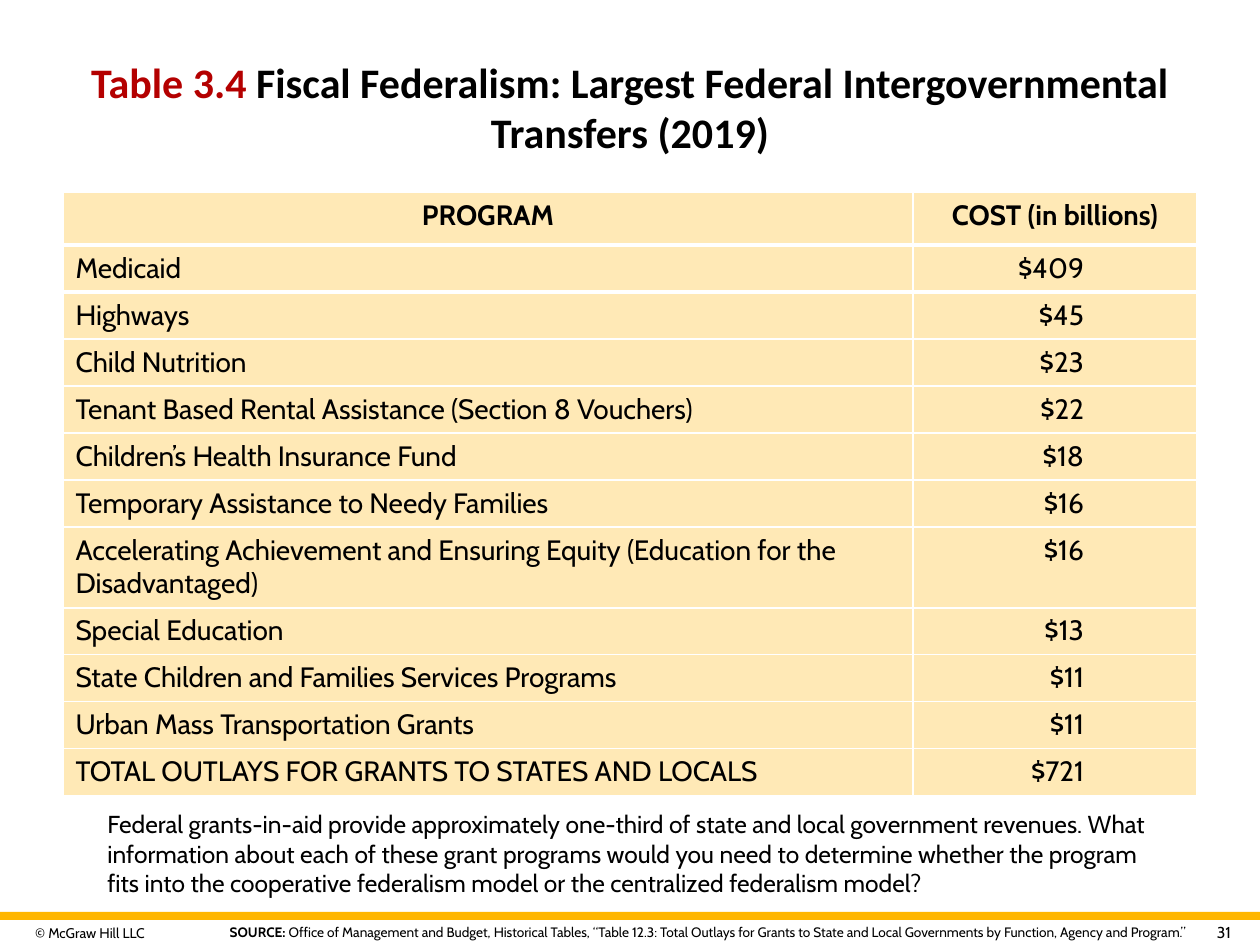
"""Build the slide on the largest federal intergovernmental transfers."""
import pptx
import pptx.util
import pptx.dml.color
import pptx.enum.text
import pptx.enum.shapes
import pptx.oxml
import pptx.oxml.ns

TITLE = [("Table 3.4", "B40000", True),
         (" Fiscal Federalism: Largest Federal Intergovernmental Transfers (2019)", "000000", True)]
HEAD = ("PROGRAM", "COST (in billions)")
COSTS = [
    ("Medicaid", 409),
    ("Highways", 45),
    ("Child Nutrition", 23),
    ("Tenant Based Rental Assistance (Section 8 Vouchers)", 22),
    ("Children’s Health Insurance Fund", 18),
    ("Temporary Assistance to Needy Families", 16),
    ("Accelerating Achievement and Ensuring Equity (Education for the Disadvantaged)", 16),
    ("Special Education", 13),
    ("State Children and Families Services Programs", 11),
    ("Urban Mass Transportation Grants", 11),
    ("TOTAL OUTLAYS FOR GRANTS TO STATES AND LOCALS", 721),
]
NOTE = ("Federal grants-in-aid provide approximately one-third of state and local government "
        "revenues. What information about each of these grant programs would you need to determine "
        "whether the program fits into the cooperative federalism model or the centralized "
        "federalism model?")
SOURCE = [("SOURCE: ", "000000", True),
          ("Office of Management and Budget, Historical Tables, “Table 12.3: Total Outlays for Grants "
           "to State and Local Governments by Function, Agency and Program.”", "000000", False)]
COLS = (850, 284)
HEAD_H, ROW_H, TALL_H = 53, 47, 81
LONG = 60
PX = 914400 // 126
ALIGN = pptx.enum.text.PP_ALIGN
MIDDLE = pptx.enum.text.MSO_ANCHOR.MIDDLE


def px(n):
    return pptx.util.Emu(n * PX)


def color(code):
    return pptx.dml.color.RGBColor.from_string(code)


def write(frame, runs, size, align=ALIGN.LEFT, font="Cabin"):
    para = frame.paragraphs[0]
    para.alignment = align
    for text, code, bold in runs:
        run = para.add_run()
        run.text = text
        run.font.size = pptx.util.Pt(size)
        run.font.name = font
        run.font.bold = bold
        run.font.color.rgb = color(code)


def place(shape, box):
    shape.left, shape.top, shape.width, shape.height = map(px, box)


def add_text(slide, box, runs, size, align=ALIGN.LEFT, inset=None, anchor=MIDDLE):
    frame = slide.shapes.add_textbox(*map(px, box)).text_frame
    frame.word_wrap = True
    frame.vertical_anchor = anchor
    if inset is not None:
        frame.margin_left = frame.margin_right = px(inset)
        frame.margin_top = frame.margin_bottom = px(inset)
    write(frame, runs, size, align)


def add_edge(cell, side):
    edge = pptx.oxml.parse_xml(
        f'<a:{side} {pptx.oxml.ns.nsdecls("a")} w="28575"><a:solidFill>'
        f'<a:srgbClr val="FFFFFF"/></a:solidFill></a:{side}>')
    cell._tc.get_or_add_tcPr().insert(0, edge)


def add_costs(slide):
    rows = [HEAD] + [(name, f"${cost}") for name, cost in COSTS]
    highs = [HEAD_H] + [TALL_H if len(name) > LONG else ROW_H for name, _ in COSTS]
    box = (63, 192, sum(COLS), sum(highs))
    table = slide.shapes.add_table(len(rows), len(COLS), *map(px, box)).table
    for col, width in zip(table.columns, COLS):
        col.width = px(width)
    for r, (row, high) in enumerate(zip(rows, highs)):
        table.rows[r].height = px(high)
        for c, text in enumerate(row):
            cell = table.cell(r, c)
            cell.fill.solid()
            cell.fill.fore_color.rgb = color("FFE9B6")
            align = ALIGN.CENTER if r == 0 else (ALIGN.LEFT, ALIGN.RIGHT)[c]
            if r and c:
                cell.margin_left, cell.margin_right = px(38), px(113)
            write(cell.text_frame, [(text, "000000", r == 0)], 16, align)
            if r < 2:
                add_edge(cell, ("lnB", "lnT")[r])


def main():
    deck = pptx.Presentation()
    deck.slide_width, deck.slide_height = px(1260), px(945)
    slide = deck.slides.add_slide(deck.slide_layouts[5])

    title = slide.shapes.title
    place(title, (47, 28, 1166, 157))
    title.text_frame.vertical_anchor = MIDDLE
    write(title.text_frame, TITLE, 24, ALIGN.CENTER, "Calibri")

    bar = slide.shapes.add_shape(pptx.enum.shapes.MSO_SHAPE.RECTANGLE,
                                 *map(px, (0, 912, 1260, 8)))
    bar.shadow.inherit = False
    bar.fill.solid()
    bar.fill.fore_color.rgb = color("FFB600")
    bar.line.fill.background()

    add_costs(slide)
    add_text(slide, (95, 803, 1071, 101), [(NOTE, "000000", False)], 14,
             anchor=pptx.enum.text.MSO_ANCHOR.TOP)
    add_text(slide, (30, 918, 170, 30), [("© McGraw Hill LLC", "000000", False)], 8, inset=5)
    add_text(slide, (154, 920, 1033, 25), SOURCE, 7.8, ALIGN.RIGHT, 0)
    add_text(slide, (1188, 921, 49, 23), [("31", "000000", False)], 9, ALIGN.RIGHT, 6)
    deck.save("out.pptx")


if __name__ == "__main__":
    main()
